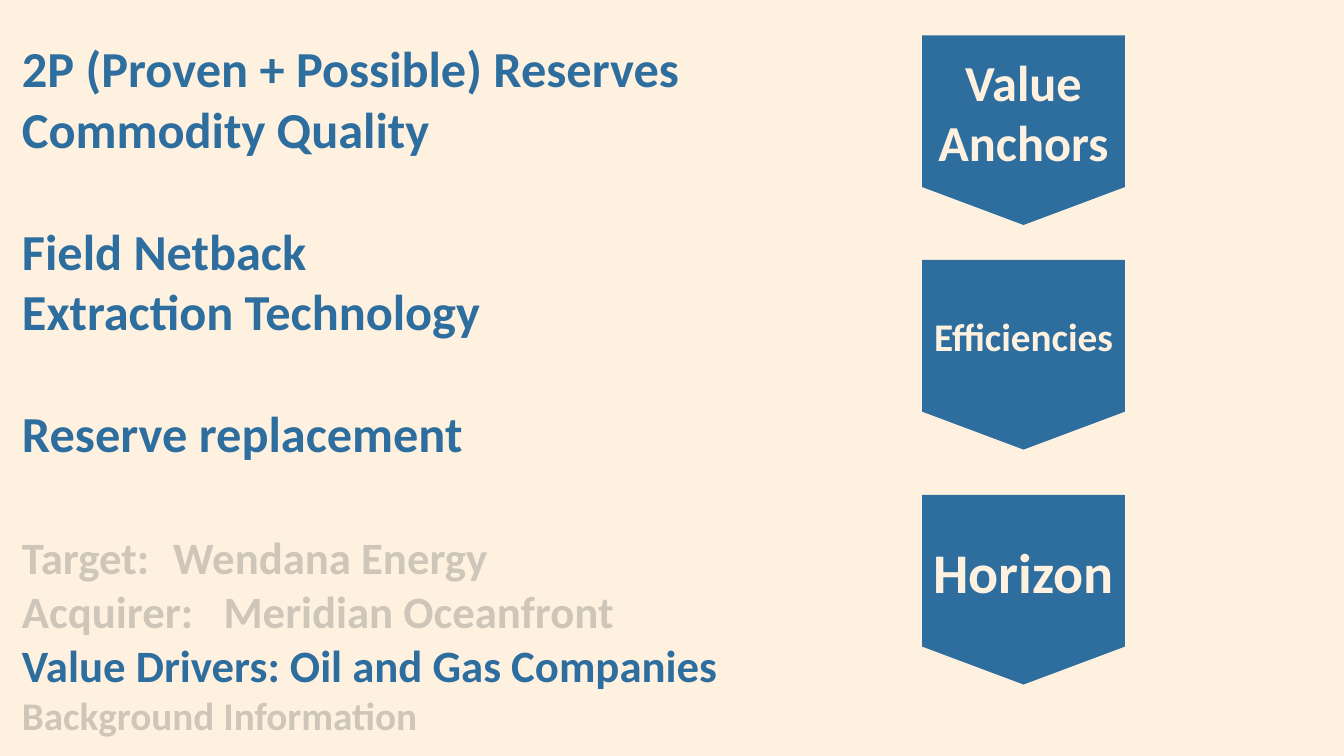
"""Builds the slide on value drivers of oil and gas companies."""
from lxml import etree
from pptx import Presentation
from pptx import util as u
from pptx.dml.color import RGBColor
from pptx.enum import shapes, text
from pptx.oxml.ns import qn

COLORS = {"cream": "FFF1E0", "blue": "2E6E9E", "grey": "CEC6B9"}


def set_attrs(obj, values):
    for name, value in values.items():
        setattr(obj, name, value)


def rgb(name):
    return RGBColor.from_string(COLORS[name])


def add_line(tf, i, words, size, color, align, gap=0):
    p = tf.paragraphs[0] if i == 0 else tf.add_paragraph()
    set_attrs(p, {"alignment": align, "space_before": u.Pt(gap)})
    r = p.add_run()
    r.text = words
    set_attrs(r.font, {"name": "Calibri", "size": u.Pt(size), "bold": True})
    r.font.color.rgb = rgb(color)
    return p


def set_plain(p, tab):
    pPr = p._p.get_or_add_pPr()
    pPr.set("marL", "0")
    pPr.set("indent", "0")
    etree.SubElement(pPr, qn("a:buNone"))
    if tab:
        tabs = etree.SubElement(pPr, qn("a:tabLst"))
        etree.SubElement(tabs, qn("a:tab"), pos=str(u.Cm(tab)), algn="l")


def fill_placeholder(sp, top, height, lines):
    set_attrs(sp, {"left": u.Cm(0.3), "top": u.Cm(top),
                   "width": u.Cm(20.2), "height": u.Cm(height)})
    tf = sp.text_frame
    set_attrs(tf, {"word_wrap": True, "auto_size": text.MSO_AUTO_SIZE.NONE,
                   "vertical_anchor": text.MSO_ANCHOR.TOP})
    for i, (words, size, color, gap, tab) in enumerate(lines):
        p = add_line(tf, i, words, size, color, text.PP_ALIGN.LEFT, gap)
        set_plain(p, tab)


def add_pointer(s, top, lines, size):
    sp = s.shapes.add_shape(shapes.MSO_SHAPE.FLOWCHART_OFFPAGE_CONNECTOR,
                            u.Cm(23.24), u.Cm(top), u.Cm(5.11), u.Cm(4.78))
    sp.shadow.inherit = False
    sp.fill.solid()
    sp.fill.fore_color.rgb = rgb("blue")
    sp.line.fill.background()
    tf = sp.text_frame
    set_attrs(tf, {"word_wrap": False,
                   "vertical_anchor": text.MSO_ANCHOR.MIDDLE})
    for i, words in enumerate(lines):
        add_line(tf, i, words, size, "cream", text.PP_ALIGN.CENTER)


def main():
    prs = Presentation()
    set_attrs(prs, {"slide_width": u.Cm(33.87), "slide_height": u.Cm(19.05)})
    s = prs.slides.add_slide(prs.slide_layouts[1])
    s.background.fill.solid()
    s.background.fill.fore_color.rgb = rgb("cream")

    fill_placeholder(s.shapes.title, 13.23, 5.56, [
        ("Target:\tWendana Energy", 32, "grey", 0, 4.98),
        ("Acquirer:\tMeridian Oceanfront", 32, "grey", 0, 4.8),
        ("Value Drivers: Oil and Gas Companies", 32, "blue", 0, None),
        ("Background Information", 28, "grey", 0, None),
    ])
    drivers = [("2P (Proven + Possible) Reserves", 0),
               ("Commodity Quality", 0),
               ("Field Netback", 44),
               ("Extraction Technology", 0),
               ("Reserve replacement", 44)]
    fill_placeholder(s.placeholders[1], 0.81, 11.02,
                     [(words, 36, "blue", gap, None) for words, gap in drivers])

    for top, lines, size in [(0.89, ["Value", "Anchors"], 36),
                             (6.55, ["Efficiencies"], 28),
                             (12.47, ["Horizon"], 40)]:
        add_pointer(s, top, lines, size)
    prs.save("out.pptx")


main()
